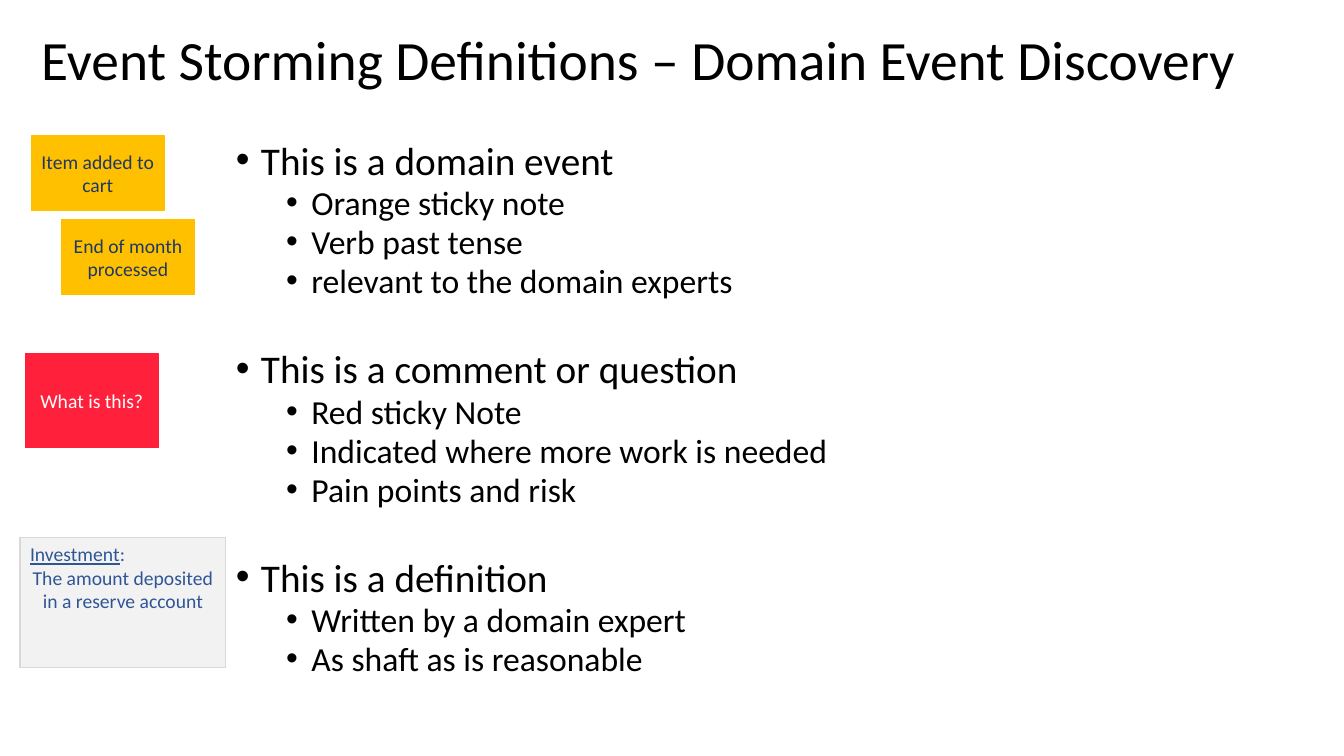
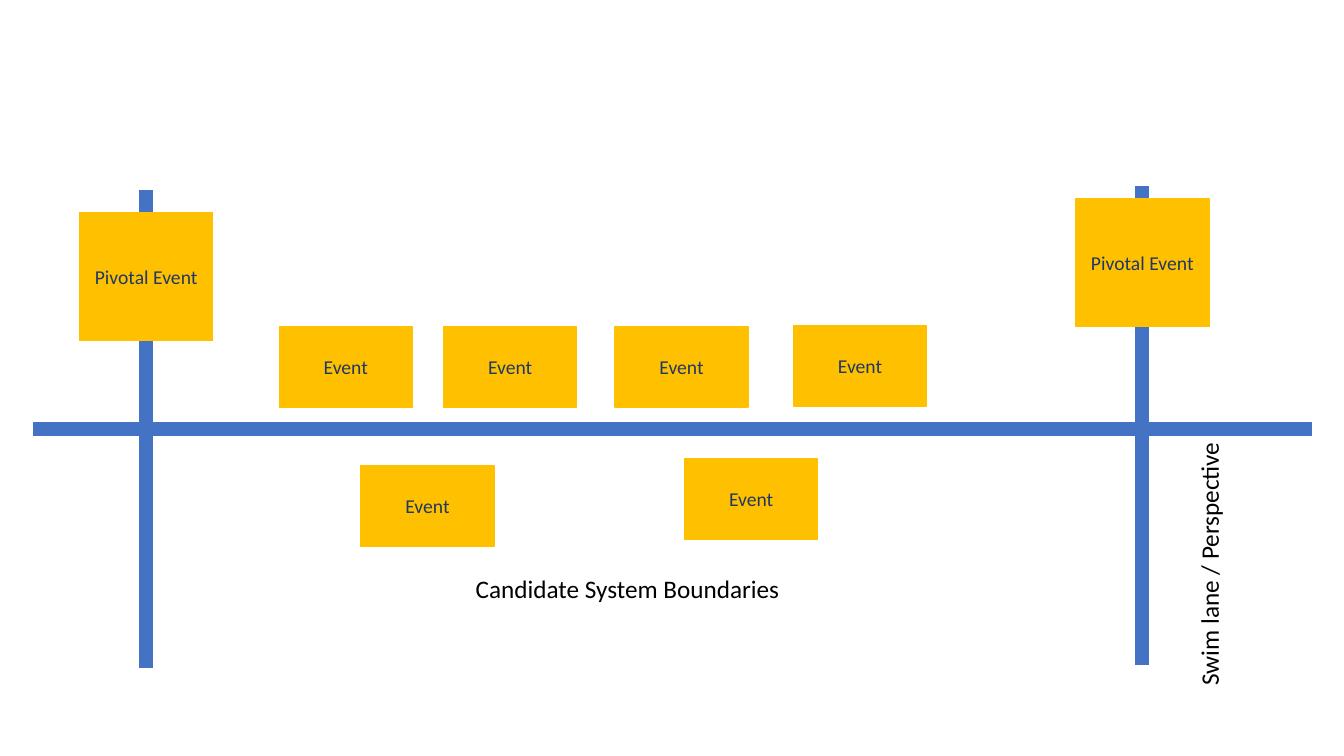
from pptx import Presentation
from pptx import util as u
from pptx.dml.color import RGBColor
from pptx.enum import shapes, text
from pptx.oxml.ns import qn
from lxml import etree

COLORS = {
    "ink": "000000", "navy": "203864", "blue": "2F5597", "lane": "4472C4",
    "orange": "FFC000", "red": "FF213C", "white": "FFFFFF",
    "gray": "F2F2F2", "edge": "D9D9D9",
}


class Deck:
    """Holds the shared style and the slide being drawn."""

    font = "Calibri"
    note_w = 1.32

    def __init__(self):
        self.prs = Presentation()
        self.prs.slide_width = u.Inches(13.33)
        self.prs.slide_height = u.Inches(7.5)
        self.s = None

    def color(self, name):
        return RGBColor.from_string(COLORS[name])

    def slide(self):
        self.s = self.prs.slides.add_slide(self.prs.slide_layouts[6])

    def style(self, p, size, color="ink"):
        for r in p.runs:
            r.font.name = self.font
            r.font.size = u.Pt(size)
            r.font.color.rgb = self.color(color)

    def box(self, x, y, w, h, wrap=True):
        sp = self.s.shapes.add_textbox(*map(u.Inches, (x, y, w, h)))
        sp.text_frame.word_wrap = wrap
        return sp

    def title(self, words):
        tf = self.box(0.31, 0.25, 12.32, 0.74).text_frame
        tf.vertical_anchor = text.MSO_ANCHOR.MIDDLE
        tf.text = words
        tf.paragraphs[0].line_spacing = 0.9
        self.style(tf.paragraphs[0], 39.6)

    def label(self, words, x, y, w, rotation=0):
        sp = self.box(x, y, w, 0.4, wrap=False)
        sp.rotation = rotation
        tf = sp.text_frame
        tf.auto_size = text.MSO_AUTO_SIZE.SHAPE_TO_FIT_TEXT
        tf.text = words
        self.style(tf.paragraphs[0], 18)

    def bullet(self, p, words, level, before):
        p.text = words
        p.level = level
        pPr = p._p.get_or_add_pPr()
        pPr.set("marL", str(u.Inches(0.25 + 0.5 * level)))
        pPr.set("indent", str(u.Inches(-0.25)))
        etree.SubElement(pPr, qn("a:buFont")).set("typeface", "Arial")
        etree.SubElement(pPr, qn("a:buChar")).set("char", "•")
        p.line_spacing = 0.8
        p.space_before = u.Pt(before)
        self.style(p, 24 if level else 28)

    def outline(self, groups, x, y, w, h):
        tf = self.box(x, y, w, h).text_frame
        for i, (head, items) in enumerate(groups):
            p = tf.add_paragraph() if i else tf.paragraphs[0]
            self.bullet(p, head, 0, 38 if i else 0)
            for item in items:
                self.bullet(tf.add_paragraph(), item, 1, 5)

    def rect(self, x, y, w, h, fill, edge):
        sp = self.s.shapes.add_shape(
            shapes.MSO_SHAPE.RECTANGLE, *map(u.Inches, (x, y, w, h)))
        sp.shadow.inherit = False
        sp.fill.solid()
        sp.fill.fore_color.rgb = self.color(fill)
        sp.line.color.rgb = self.color(edge)
        sp.line.width = u.Pt(1)
        sp.text_frame.word_wrap = True
        return sp

    def note(self, words, x, y, h, fill="orange", ink="navy"):
        tf = self.rect(x, y, self.note_w, h, fill, fill).text_frame
        tf.vertical_anchor = text.MSO_ANCHOR.MIDDLE
        tf.text = words
        tf.paragraphs[0].alignment = text.PP_ALIGN.CENTER
        self.style(tf.paragraphs[0], 14, ink)

    def definition(self, term, meaning, x, y, w, h):
        tf = self.rect(x, y, w, h, "gray", "edge").text_frame
        tf.vertical_anchor = text.MSO_ANCHOR.TOP
        p = tf.paragraphs[0]
        p.alignment = text.PP_ALIGN.LEFT
        for words in (term, ":"):
            p.add_run().text = words
        p.runs[0].font.underline = True
        self.style(p, 14, "blue")
        p = tf.add_paragraph()
        p.text = meaning
        p.alignment = text.PP_ALIGN.CENTER
        self.style(p, 14, "blue")

    def line(self, x1, y1, x2, y2):
        c = self.s.shapes.add_connector(
            shapes.MSO_CONNECTOR.STRAIGHT, *map(u.Inches, (x1, y1, x2, y2)))
        c.line.color.rgb = self.color("lane")
        c.line.width = u.Pt(10)
        etree.SubElement(c._element.spPr, qn("a:effectLst"))

    def pivot(self, x, top, bottom, note_y):
        self.line(x, top, x, bottom)
        self.note("Pivotal Event", x - self.note_w / 2, note_y, 1.27)


def definitions(d):
    d.slide()
    d.title("Event Storming Definitions – Domain Event Discovery")
    d.outline([
        ("This is a domain event",
         ["Orange sticky note", "Verb past tense",
          "relevant to the domain experts"]),
        ("This is a comment or question",
         ["Red sticky Note", "Indicated where more work is needed",
          "Pain points and risk"]),
        ("This is a definition",
         ["Written by a domain expert", "As shaft as is reasonable"]),
    ], 2.24, 1.39, 9.4, 5.86)
    d.note("Item added to cart", 0.31, 1.35, 0.74)
    d.note("End of month processed", 0.61, 2.18, 0.74)
    d.note("What is this?", 0.25, 3.51, 0.93, "red", "white")
    d.definition("Investment", "The amount deposited in a reserve account",
                 0.2, 5.33, 2.04, 1.29)


def boundaries(d):
    d.slide()
    d.line(0.33, 4.26, 13.01, 4.26)
    d.pivot(1.45, 1.89, 6.63, 2.11)
    d.pivot(11.33, 1.85, 6.6, 1.97)
    for x, y in ((2.77, 3.24), (4.4, 3.24), (6.1, 3.24), (7.87, 3.23),
                 (3.58, 4.62), (6.79, 4.55)):
        d.note("Event", x, y, 0.8)
    d.label("Candidate System Boundaries", 4.62, 5.64, 3.37)
    d.label("Swim lane / Perspective", 10.67, 5.38, 2.64, rotation=270)


def main():
    d = Deck()
    definitions(d)
    boundaries(d)
    d.prs.save("out.pptx")


if __name__ == "__main__":
    main()
